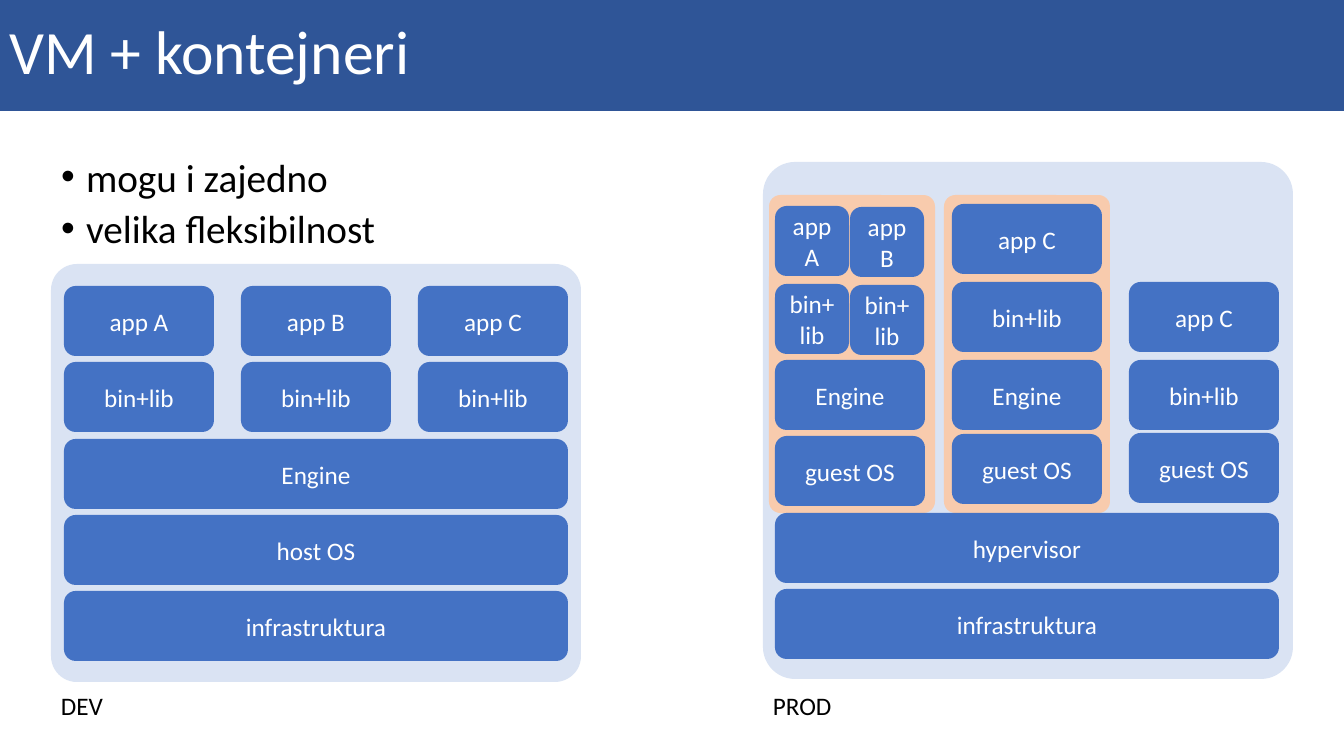
import pptx
import pptx.dml.color
import pptx.enum.shapes
import pptx.enum.text
import pptx.util

EMU_PER_PIXEL = 914400 / 100.8
COLORS = {
    "banner": "2F5597",
    "machine": "DAE3F3",
    "virtual": "F8CBAD",
    "layer": "4472C4",
    "white": "FFFFFF",
    "black": "000000",
}
ALIGN = pptx.enum.text.PP_ALIGN
ANCHOR = pptx.enum.text.MSO_ANCHOR
ROW_PITCH = 76
COLUMN_PITCH = 177
LAYER_HEIGHT = 70
FULL_WIDTH = 504
COLUMN_WIDTH = 150
HALF_WIDTH = 74


def px(value):
    """Turn pixels into EMU."""
    return pptx.util.Emu(round(value * EMU_PER_PIXEL))


def color(name):
    """Return the named colour."""
    return pptx.dml.color.RGBColor.from_string(COLORS[name])


def place(shape, left, top, width, height):
    """Move and size a shape."""
    shape.left, shape.top = px(left), px(top)
    shape.width, shape.height = px(width), px(height)


def write(shape, text, size=18, ink="white", align=ALIGN.LEFT,
          anchor=ANCHOR.TOP, wrap=True, spacing=None, before=0, indent=0):
    """Write one formatted paragraph per line of text."""
    frame = shape.text_frame
    frame.text = text
    frame.word_wrap = wrap
    frame.auto_size = pptx.enum.text.MSO_AUTO_SIZE.NONE
    frame.vertical_anchor = anchor
    for paragraph in frame.paragraphs:
        paragraph.alignment = align
        paragraph.line_spacing = spacing
        paragraph.space_before = pptx.util.Pt(before)
        if indent:
            properties = paragraph._p.get_or_add_pPr()
            properties.set("marL", str(px(indent)))
            properties.set("indent", str(px(-indent)))
        font = paragraph.runs[0].font
        font.name = "Calibri"
        font.size = pptx.util.Pt(size)
        font.color.rgb = color(ink)


def add_box(slide, fill, left, top, width, height, corner=0.167):
    """Add a plain rounded rectangle."""
    kind = pptx.enum.shapes.MSO_SHAPE.ROUNDED_RECTANGLE
    shape = slide.shapes.add_shape(kind, px(left), px(top), px(width), px(height))
    shape.adjustments[0] = corner
    shape.shadow.inherit = False
    shape.fill.solid()
    shape.fill.fore_color.rgb = color(fill)
    shape.line.fill.background()
    return shape


def add_layer(slide, text, left, top, width=COLUMN_WIDTH):
    """Add one labelled layer of a stack."""
    shape = add_box(slide, "layer", left, top, width, LAYER_HEIGHT)
    write(shape, text, align=ALIGN.CENTER, anchor=ANCHOR.MIDDLE)


def add_caption(slide, text, left, width):
    """Add the name under a machine."""
    shape = slide.shapes.add_textbox(px(left), px(685), px(width), px(40))
    write(shape, text, ink="black", wrap=False)


def add_heading(slide):
    """Fill the title banner and the bullet list."""
    title, body = slide.shapes.title, slide.placeholders[1]
    place(title, -1, -1, 1345, 111)
    title.fill.solid()
    title.fill.fore_color.rgb = color("banner")
    title.line.color.rgb = color("banner")
    title.line.width = pptx.util.Pt(1)
    write(title, "VM + kontejneri", size=44, anchor=ANCHOR.MIDDLE, spacing=0.9)
    place(body, 51, 157, 655, 104)
    write(body, "mogu i zajedno\nvelika fleksibilnost", size=28, ink="black",
          spacing=0.8, before=10, indent=25)


def add_development(slide):
    """Draw the development machine."""
    left, top = 64, 286
    add_box(slide, "machine", 51, 264, 530, 418, corner=0.062)
    for column, app in enumerate(("app A", "app B", "app C")):
        for row, text in enumerate((app, "bin+lib")):
            add_layer(slide, text, left + column * COLUMN_PITCH, top + row * ROW_PITCH)
    for row, text in enumerate(("Engine", "host OS", "infrastruktura"), start=2):
        add_layer(slide, text, left, top + 1 + row * ROW_PITCH, FULL_WIDTH)
    add_caption(slide, "DEV", 51, 64)


def add_production(slide):
    """Draw the production machine with its virtual machines."""
    left = 775
    add_box(slide, "machine", 763, 162, 530, 517, corner=0.062)
    for panel_left in (769, 944):
        add_box(slide, "virtual", panel_left, 195, 166, 318, corner=0.069)
    for text, top in (("hypervisor", 513), ("infrastruktura", 589)):
        add_layer(slide, text, left, top, FULL_WIDTH)
    stacks = (
        (("Engine", 360), ("guest OS", 436)),
        (("app C", 204), ("bin+lib", 282), ("Engine", 360), ("guest OS", 434)),
        (("app C", 282), ("bin+lib", 360), ("guest OS", 433)),
    )
    for column, stack in enumerate(stacks):
        for text, top in stack:
            add_layer(slide, text, left + column * COLUMN_PITCH, top)
    for half, app in enumerate(("app\nA", "app\nB")):
        for text, top in ((app, 206), ("bin+lib", 284)):
            add_layer(slide, text, left + half * (HALF_WIDTH + 1), top + half, HALF_WIDTH)
    add_caption(slide, "PROD", 763, 82)


def main():
    """Build and save the slide."""
    presentation = pptx.Presentation()
    presentation.slide_width, presentation.slide_height = px(1344), px(756)
    slide = presentation.slides.add_slide(presentation.slide_layouts[1])
    add_heading(slide)
    add_development(slide)
    add_production(slide)
    presentation.save("out.pptx")


main()
